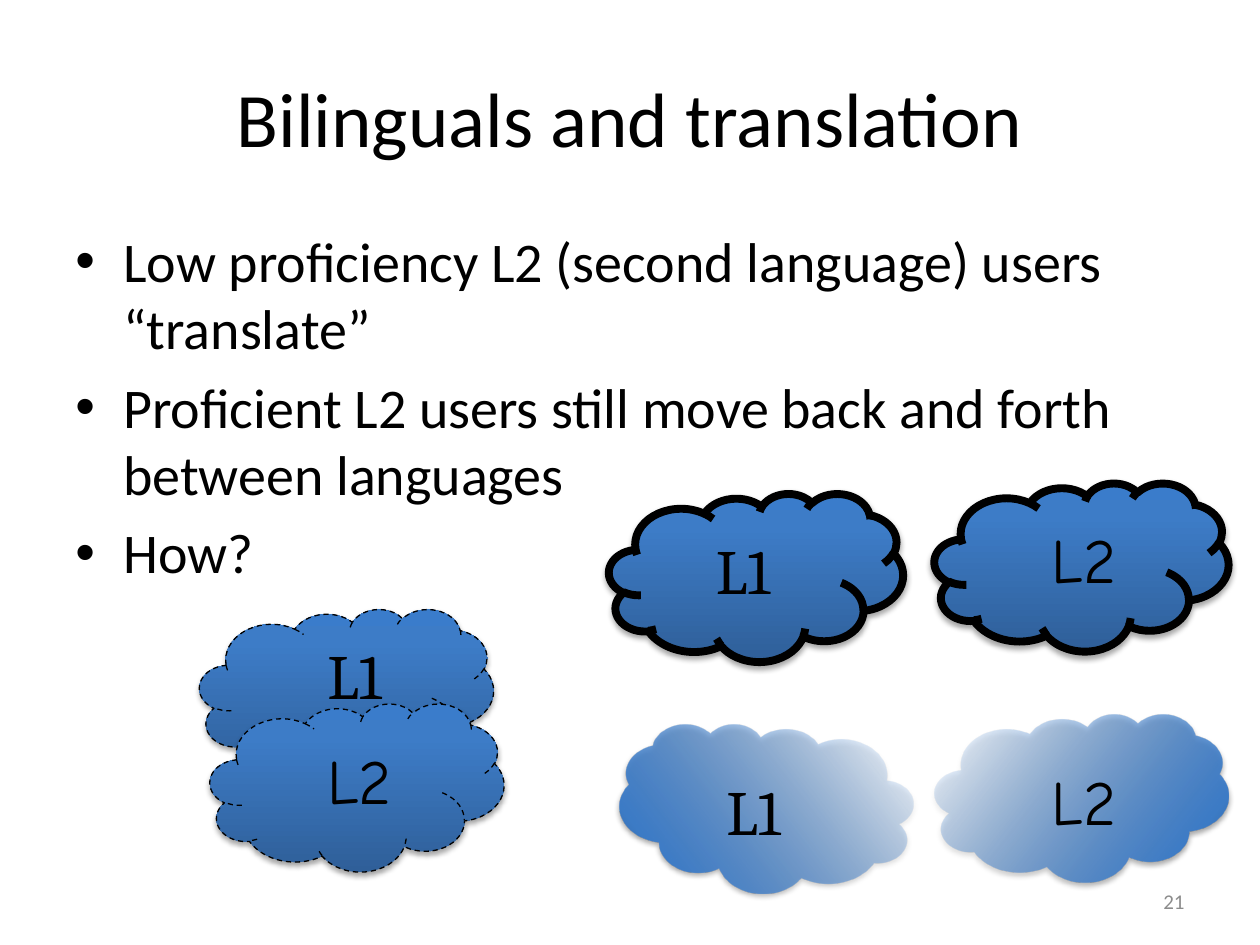
from dataclasses import dataclass

from lxml import etree
from pptx import Presentation
from pptx import util as u
from pptx.dml.color import RGBColor
from pptx.enum import dml, shapes, text
from pptx.oxml.ns import qn

BLACK = RGBColor(0x00, 0x00, 0x00)
GREY = RGBColor(0x8C, 0x8C, 0x8C)
DEEP_BLUE = RGBColor(0x2F, 0x5F, 0x99)
MID_BLUE = RGBColor(0x3D, 0x7C, 0xC7)
LIGHT_BLUE = RGBColor(0x3A, 0x7C, 0xCB)

CELL = u.Inches(10) // 120  # the slide is a grid of 120 columns by 90 rows
CLOUD_SIZE = (28, 16)
LABEL_SIZE = (9, 8.5)
LANGUAGE_FONTS = {"L1": "Cambria", "L2": "Comic Neue"}


@dataclass(frozen=True)
class CloudStyle:
    angle: float  # counter-clockwise
    mid_stop: int
    end_alpha: int
    line_width: float = 0
    dashed: bool = False


@dataclass(frozen=True)
class Cloud:
    column: float
    row: float
    style: CloudStyle
    flipped: bool = False


@dataclass(frozen=True)
class Label:
    language: str
    column: float
    row: float


OVERLAPPING = CloudStyle(90, 80, 100, line_width=0.75, dashed=True)
SEPARATE = CloudStyle(90, 80, 100, line_width=4.5)
FADING = CloudStyle(142, 16, 0)

CLOUDS = [
    Cloud(19, 58, OVERLAPPING),
    Cloud(89, 68, FADING),
    Cloud(58, 47, SEPARATE),
    Cloud(89, 46, SEPARATE),
    Cloud(59, 69, FADING, flipped=True),
    Cloud(20, 67, OVERLAPPING),
]
LABELS = [
    Label("L1", 67, 50),
    Label("L2", 30, 70),
    Label("L2", 99, 72),
    Label("L2", 99, 49),
    Label("L1", 30, 60),
    Label("L1", 68, 73),
]
POINTS = [
    "Low proficiency L2 (second language) users “translate”",
    "Proficient L2 users still move back and forth between languages",
    "How?",
]


def grid(*cells: float) -> list[int]:
    return [round(cell * CELL) for cell in cells]


def add_color(parent, color: RGBColor, alpha: int) -> None:
    """Append a colour with its opacity in percent."""
    node = etree.SubElement(parent, qn("a:srgbClr"), val=str(color))
    if alpha < 100:
        etree.SubElement(node, qn("a:alpha"), val=str(alpha * 1000))


def add_text(slide, box: tuple, lines: list[str], size: float, font: str = "Calibri",
             color: RGBColor = BLACK, align=text.PP_ALIGN.LEFT,
             anchor=text.MSO_ANCHOR.TOP, wrap: bool = True):
    frame = slide.shapes.add_textbox(*grid(*box)).text_frame
    frame.word_wrap = wrap
    frame.vertical_anchor = anchor
    frame.text = "\n".join(lines)
    for paragraph in frame.paragraphs:
        paragraph.alignment = align
        paragraph.font.size = u.Pt(size)
        paragraph.font.name = font
        paragraph.font.color.rgb = color
    return frame


def add_bullets(frame) -> None:
    indent = u.Inches(0.38)
    for paragraph in frame.paragraphs:
        paragraph.space_before = u.Pt(6.4)
        properties = paragraph._p.get_or_add_pPr()
        properties.set("marL", str(indent))
        properties.set("indent", str(-indent))
        bullet_font = etree.Element(qn("a:buFont"), typeface="Arial")
        bullet = etree.Element(qn("a:buChar"), char="•")
        defaults = properties.find(qn("a:defRPr"))
        defaults.addprevious(bullet_font)
        defaults.addprevious(bullet)


def add_cloud(slide, cloud: Cloud) -> None:
    style = cloud.style
    shape = slide.shapes.add_shape(
        shapes.MSO_SHAPE.CLOUD, *grid(cloud.column, cloud.row, *CLOUD_SIZE))
    properties = shape._element.spPr
    if cloud.flipped:
        properties.find(qn("a:xfrm")).set("flipH", "1")

    shape.fill.gradient()
    shape.fill.gradient_angle = style.angle
    stops = properties.find(qn("a:gradFill")).find(qn("a:gsLst"))
    for stop in list(stops):
        stops.remove(stop)
    for position, color, alpha in [(0, DEEP_BLUE, 100), (style.mid_stop, MID_BLUE, 100),
                                   (100, LIGHT_BLUE, style.end_alpha)]:
        stop = etree.SubElement(stops, qn("a:gs"), pos=str(position * 1000))
        add_color(stop, color, alpha)

    if style.line_width:
        shape.line.color.rgb = BLACK
        shape.line.width = u.Pt(style.line_width)
        if style.dashed:
            shape.line.dash_style = dml.MSO_LINE.DASH
    else:
        shape.line.fill.background()

    shape.shadow.inherit = False
    shadow = etree.SubElement(
        properties.find(qn("a:effectLst")), qn("a:outerShdw"),
        blurRad=str(u.Pt(3.1)), dist=str(u.Pt(1.8)), dir="5400000", rotWithShape="0")
    add_color(shadow, BLACK, 35)


def main() -> None:
    deck = Presentation()
    deck.slide_width, deck.slide_height = grid(120, 90)
    slide = deck.slides.add_slide(deck.slide_layouts[6])

    add_text(slide, (6, 3.6, 108, 15), ["Bilinguals and translation"], 44,
             align=text.PP_ALIGN.CENTER, anchor=text.MSO_ANCHOR.MIDDLE)
    add_bullets(add_text(slide, (6, 21, 108, 59.4), POINTS, 32))
    add_text(slide, (86, 83.4, 28, 4.8), ["21"], 12, color=GREY,
             align=text.PP_ALIGN.RIGHT, anchor=text.MSO_ANCHOR.MIDDLE)

    for cloud in CLOUDS:
        add_cloud(slide, cloud)
    for label in LABELS:
        frame = add_text(slide, (label.column, label.row, *LABEL_SIZE), [label.language],
                         36, font=LANGUAGE_FONTS[label.language], wrap=False)
        frame.auto_size = text.MSO_AUTO_SIZE.SHAPE_TO_FIT_TEXT

    deck.save("out.pptx")


if __name__ == "__main__":
    main()
